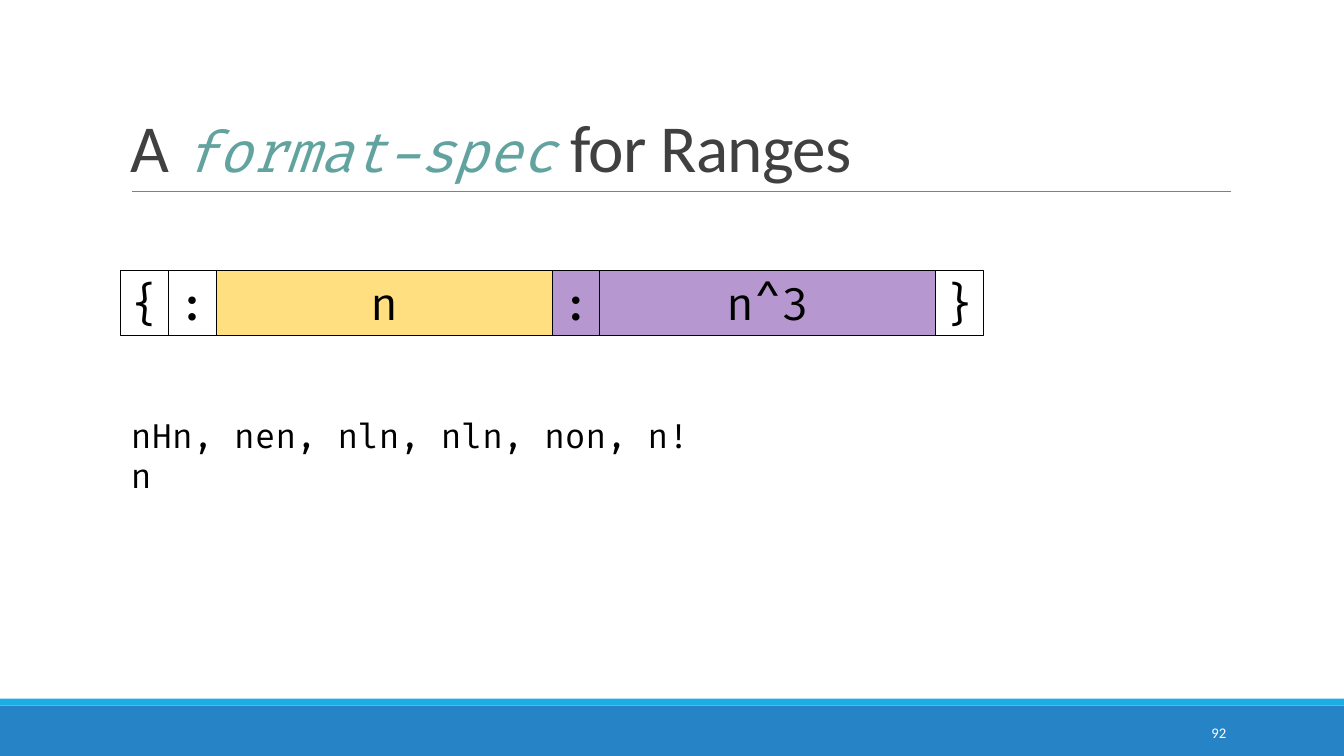
import pptx
import pptx.util
import pptx.dml.color
import pptx.enum.shapes
import pptx.enum.text
import pptx.oxml.ns
import pptx.oxml.xmlchemy

Pt = pptx.util.Pt
Align = pptx.enum.text.PP_ALIGN
Anchor = pptx.enum.text.MSO_ANCHOR
Kind = pptx.enum.shapes.MSO_SHAPE
SANS, MONO = "Calibri", "Fira Code"
WIDE, HIGH = 960, 540


def color(value):
    return pptx.dml.color.RGBColor.from_string(value)


def style(font, size, name, ink):
    font.size = Pt(size)
    font.name = name
    font.color.rgb = color(ink)


def grow(frame, wrap):
    frame.word_wrap = wrap
    frame.auto_size = pptx.enum.text.MSO_AUTO_SIZE.SHAPE_TO_FIT_TEXT


def rect(slide, box, fill=None, alpha=None):
    shape = slide.shapes.add_shape(Kind.RECTANGLE, *map(Pt, box))
    shape.shadow.inherit = False
    shape.line.fill.background()
    if fill:
        shape.fill.solid()
        shape.fill.fore_color.rgb = color(fill)
    else:
        shape.fill.background()
    if alpha:
        tone = shape._element.spPr.find(
            "/".join(map(pptx.oxml.ns.qn, ("a:solidFill", "a:srgbClr"))))
        node = pptx.oxml.xmlchemy.OxmlElement("a:alpha")
        node.set("val", str(alpha * 1000))
        tone.append(node)
    return shape


def label(slide, box, text, size, name, ink):
    area = slide.shapes.add_textbox(*map(Pt, box))
    frame = area.text_frame
    frame.word_wrap = True
    para = frame.paragraphs[0]
    para.text = text
    style(para.font, size, name, ink)
    return frame


def footer(slide, box, number):
    left, top, width, height = box
    rect(slide, box, "2683C6")
    rect(slide, (left, top - 5, width, 5), "1CADE4")
    page = (left + width - 180, top + 4.5, 103, 29)
    frame = label(slide, page, number, 10.5, SANS, "FFFFFF")
    frame.vertical_anchor = Anchor.MIDDLE
    frame.paragraphs[0].alignment = Align.RIGHT


def title(slide, box, parts):
    left, top, width, height = box
    base = top + height
    # Rule under the heading
    rule = slide.shapes.add_connector(
        pptx.enum.shapes.MSO_CONNECTOR.STRAIGHT,
        Pt(left + 8), Pt(base), Pt(left + width + 1), Pt(base))
    rule.line.color.rgb = color("808080")
    rule.line.width = Pt(0.5)
    rule._element.spPr.append(
        pptx.oxml.xmlchemy.OxmlElement("a:effectLst"))
    # Heading
    area = slide.shapes.add_textbox(*map(Pt, box))
    frame = area.text_frame
    frame.word_wrap = True
    frame.vertical_anchor = Anchor.BOTTOM
    para = frame.paragraphs[0]
    para.line_spacing = 0.85
    for text, code in parts:
        run = para.add_run()
        run.text = text
        if code:
            style(run.font, 40, MONO, "62A39F")
            run.font.italic = True
        else:
            style(run.font, 48, SANS, "404040")
        run._r.get_or_add_rPr().set("spc", "-50")


def format_bar(slide, box, cells):
    left, top, width, height = box
    narrow = 34
    count = sum(big for text, big, fill in cells)
    broad = (width - (len(cells) - count) * narrow) / count
    for text, big, fill in cells:
        size = broad if big else narrow
        cell = rect(slide, (left, top, size, height), fill, fill and 50)
        cell.line.color.rgb = color("000000")
        cell.line.width = Pt(0.75)
        frame = cell.text_frame
        frame.vertical_anchor = Anchor.TOP
        grow(frame, big)
        para = frame.paragraphs[0]
        para.text = text
        para.alignment = Align.CENTER if big else Align.LEFT
        style(para.font, 32, MONO, "000000")
        left += size


def main():
    deck = pptx.Presentation()
    deck.slide_width, deck.slide_height = Pt(WIDE), Pt(HIGH)
    slide = deck.slides.add_slide(deck.slide_layouts[6])
    left = 86.4

    footer(slide, (0, HIGH - 36, WIDE, 36), "92")
    title(slide, (left, 22.5, 792, 114),
          [("A ", False), ("format-spec", True), (" for Ranges", False)])

    # Parts of the format string
    gold, plum = "FFC000", "7030A0"
    format_bar(slide, (left, 193.5, 616, 46), [
        ("{", False, None), (":", False, None), ("n", True, gold),
        (":", False, plum), ("n^3", True, plum), ("}", False, None)])

    # Output
    frame = label(slide, (left, 292.5, 421, 36),
                  "nHn, nen, nln, nln, non, n!n", 24, MONO, "000000")
    grow(frame, True)
    deck.save("out.pptx")


if __name__ == "__main__":
    main()
